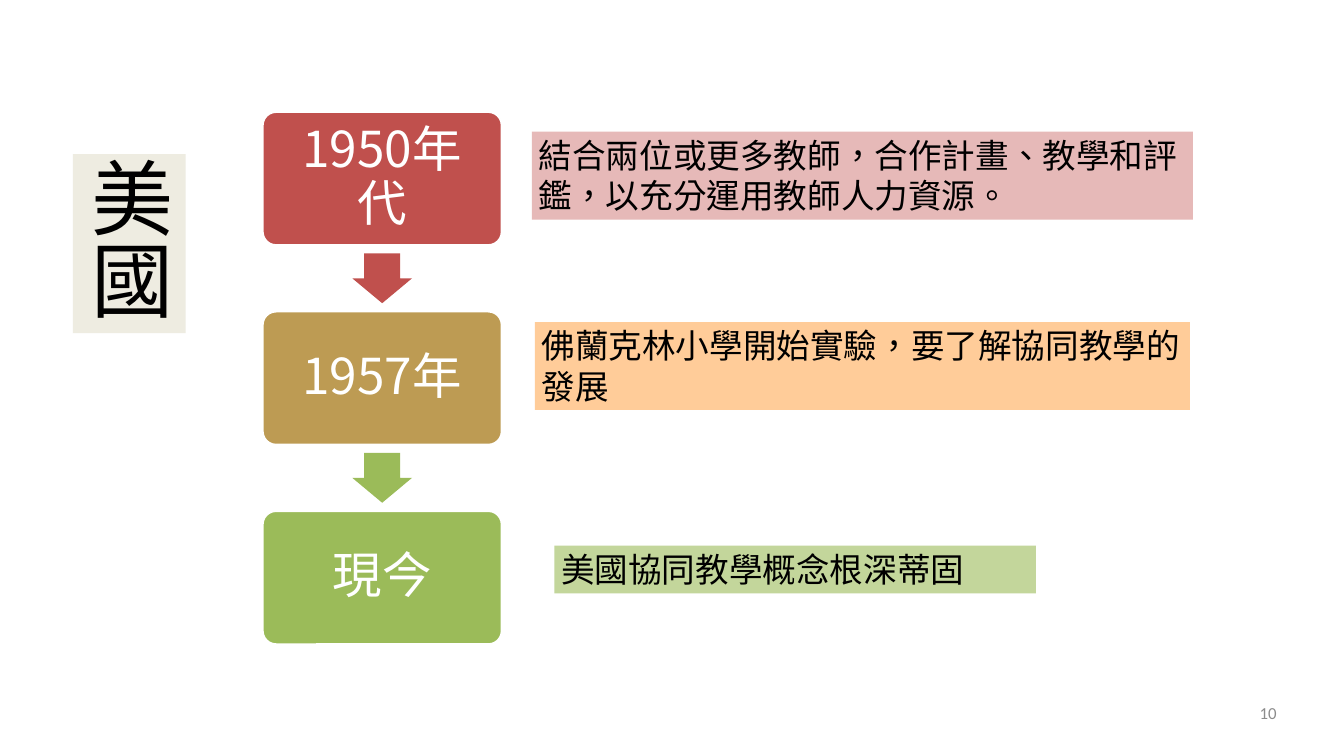
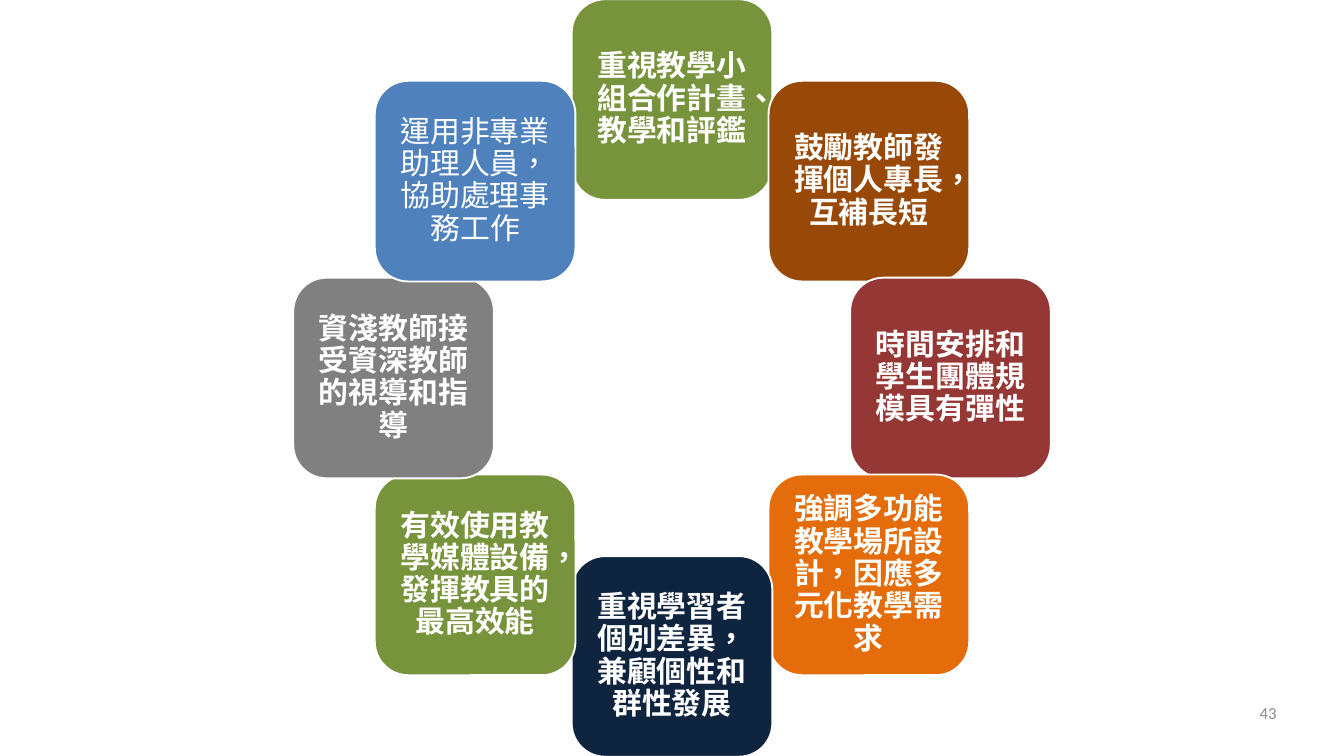
"""Build two slides: a timeline of team teaching and a ring of its features."""
import math
from dataclasses import dataclass

import pptx
import pptx.dml.color
import pptx.enum.shapes
import pptx.enum.text
import pptx.oxml
import pptx.util

Pt = pptx.util.Pt
Kind = pptx.enum.shapes.MSO_SHAPE
Align = pptx.enum.text.PP_ALIGN
Anchor = pptx.enum.text.MSO_ANCHOR


@dataclass(frozen=True)
class Theme:
    """Colours, fonts and type sizes shared by the slides."""
    font: str = "Noto Sans CJK SC"
    plain: str = "Calibri"
    dark: str = "000000"
    light: str = "FFFFFF"
    muted: str = "8C8C8C"
    cream: str = "EEECE1"
    red: str = "C0504D"
    gold: str = "BD9B53"
    green: str = "9BBB59"
    pink: str = "E6B9B8"
    peach: str = "FFCC99"
    lime: str = "C3D69B"
    olive: str = "77933C"
    brown: str = "984807"
    wine: str = "953735"
    orange: str = "E46C0A"
    navy: str = "0F243E"
    grey: str = "808080"
    blue: str = "4F81BD"
    title: int = 88
    step: int = 53
    note: int = 36
    tile: int = 32
    page: int = 18


T = Theme()
WIDE, HIGH = 1440, 810

TITLE = "美國"
STEPS = [
    ("1950年代", T.red, "結合兩位或更多教師，合作計畫、教學和評鑑，以充分運用教師人力資源。",
     T.pink, (570, 141, 708, 94.3)),
    ("1957年", T.gold, "佛蘭克林小學開始實驗，要了解協同教學的發展",
     T.peach, (573, 345, 702, 94.3)),
    ("現今", T.green, "美國協同教學概念根深蒂固", T.lime, (594, 584.7, 516, 51)),
]
TILES = [
    ("重視教學小組合作計畫、教學和評鑑", T.olive, True),
    ("鼓勵教師發揮個人專長，互補長短", T.brown, True),
    ("時間安排和學生團體規模具有彈性", T.wine, True),
    ("強調多功能教學場所設計，因應多元化教學需求", T.orange, True),
    ("重視學習者個別差異，兼顧個性和群性發展", T.navy, True),
    ("有效使用教學媒體設備，發揮教具的最高效能", T.olive, True),
    ("資淺教師接受資深教師的視導和指導", T.grey, True),
    ("運用非專業助理人員，協助處理事務工作", T.blue, False),
]


def tint(code):
    return pptx.dml.color.RGBColor.from_string(code)


def write(shape, text, size, color=T.dark, font=T.font, bold=False, align=Align.LEFT,
          anchor=Anchor.TOP, inset=(7.2, 3.6), space=None):
    frame = shape.text_frame
    frame.word_wrap = True
    frame.auto_size = pptx.enum.text.MSO_AUTO_SIZE.NONE
    frame.vertical_anchor = anchor
    frame.margin_left = frame.margin_right = Pt(inset[0])
    frame.margin_top = frame.margin_bottom = Pt(inset[1])
    para = frame.paragraphs[0]
    para.alignment, para.line_spacing = align, space
    run = para.add_run()
    run.text = text
    face = run.font
    face.size, face.bold, face.name = Pt(size), bold, font
    face.color.rgb = tint(color)
    props = run._r.get_or_add_rPr()
    props.set("lang", "zh-TW")
    props.append(pptx.oxml.parse_xml(
        '<a:ea xmlns:a="http://schemas.openxmlformats.org/drawingml/2006/main" '
        f'typeface="{font}"/>'))


def block(slide, kind, box, fill, edge=None, adjust=()):
    shape = slide.shapes.add_shape(kind, *map(Pt, box))
    shape.shadow.inherit = False
    shape.fill.solid()
    shape.fill.fore_color.rgb = tint(fill)
    if edge:
        shape.line.color.rgb = tint(edge)
        shape.line.width = Pt(2)
    else:
        shape.line.fill.background()
    for spot, value in enumerate(adjust):
        shape.adjustments[spot] = value
    return shape


def card(slide, box, fill, text, size, inset, round=0.1667, bold=False):
    shape = block(slide, Kind.ROUNDED_RECTANGLE, box, fill, T.light, [round])
    write(shape, text, size, color=T.light, bold=bold, align=Align.CENTER,
          anchor=Anchor.MIDDLE, inset=(inset, inset), space=0.9)


def number(slide, page):
    box = slide.shapes.add_textbox(*map(Pt, (1036.8, 753, 331.2, 40)))
    write(box, page, T.page, color=T.muted, font=T.plain, align=Align.RIGHT, inset=(0, 0))


def history(deck):
    slide = deck.slides.add_slide(deck.slide_layouts[5])
    head = slide.shapes.title
    head.left, head.top, head.width, head.height = map(Pt, (78, 165, 121, 192))
    head.fill.solid()
    head.fill.fore_color.rgb = tint(T.cream)
    write(head, TITLE, T.title)
    head.text_frame._txBody.bodyPr.set("vert", "eaVert")

    left, top, wide, high, pitch = 281.5, 120, 256, 142.6, 213.8
    across, down = 64, 53.4
    for row, (label, fill, note, pale, box) in enumerate(STEPS):
        y = top + row * pitch
        if row:
            mid = y - (pitch - high) / 2
            block(slide, Kind.DOWN_ARROW,
                  (left + (wide - across) / 2, mid - down / 2, across, down),
                  T.red if row == 1 else fill, adjust=(0.6, 0.5))
        card(slide, (left, y, wide, high), fill, label, T.step, 16, round=0.1)
        write(block(slide, Kind.RECTANGLE, box, pale), note, T.note)
    number(slide, "10")


def ring(deck):
    slide = deck.slides.add_slide(deck.slide_layouts[6])
    side, reach = 215, 298.3
    for spot, (text, fill, bold) in enumerate(TILES):
        turn = math.tau * spot / len(TILES)
        x = WIDE / 2 + reach * math.sin(turn) - side / 2
        y = HIGH / 2 - reach * math.cos(turn) - side / 2
        card(slide, (x, y, side, side), fill, text, T.tile, 9.6, bold=bold)
    number(slide, "43")


def main():
    deck = pptx.Presentation()
    deck.slide_width, deck.slide_height = Pt(WIDE), Pt(HIGH)
    history(deck)
    ring(deck)
    deck.save("out.pptx")


if __name__ == "__main__":
    main()
